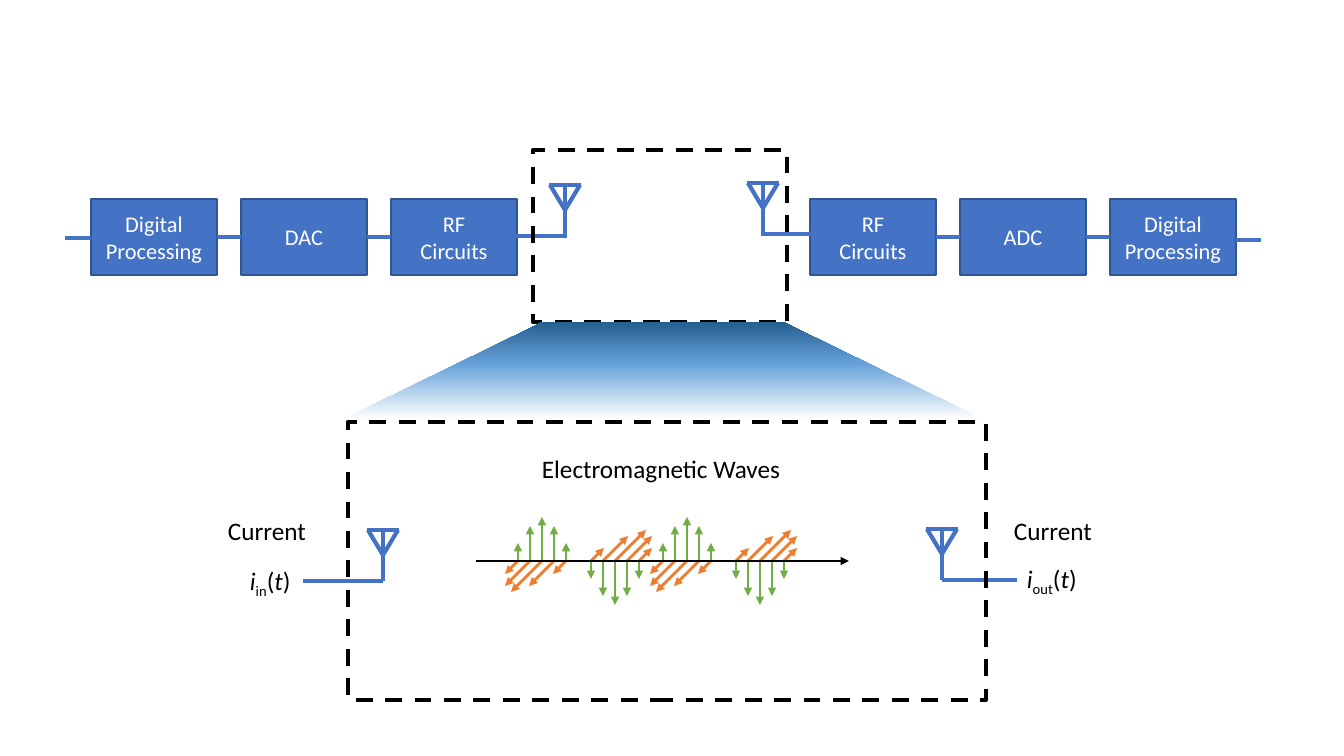
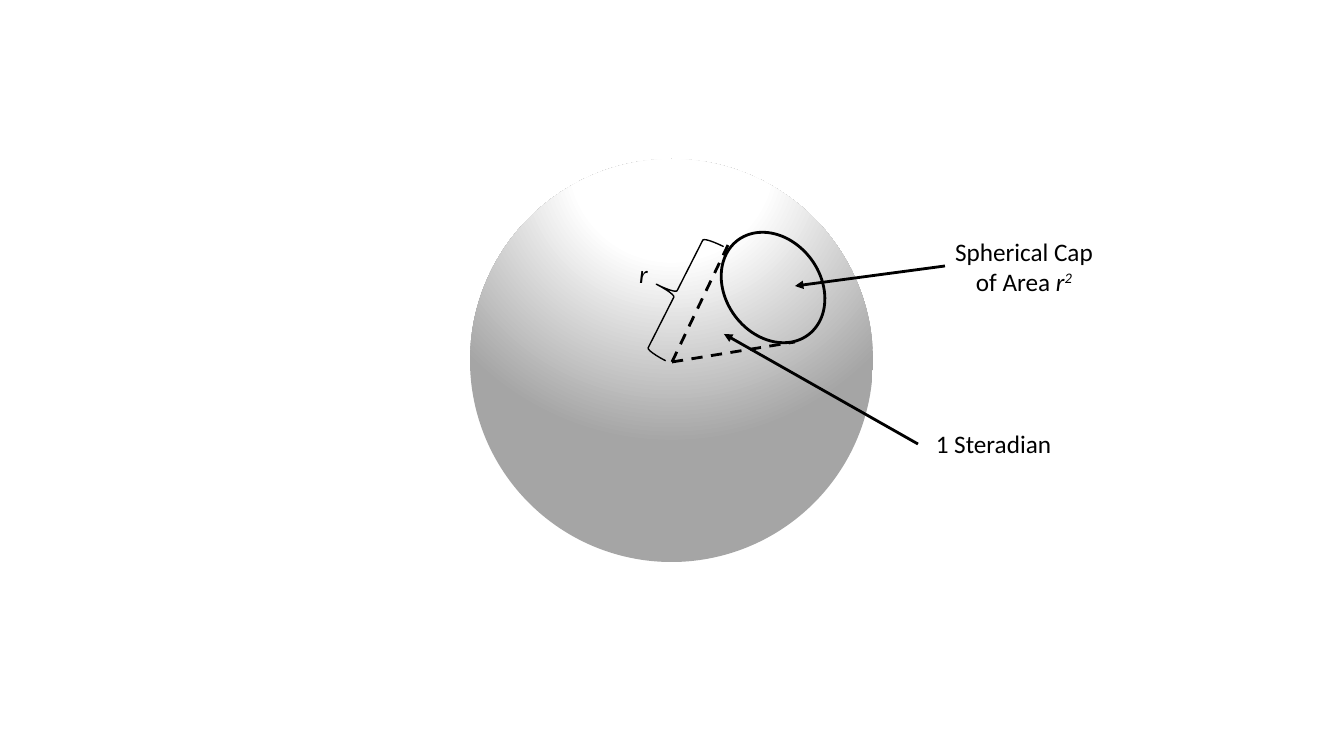
import pptx
import pptx.util
import pptx.dml.color
import pptx.enum.dml
import pptx.enum.shapes
import pptx.enum.text
import pptx.oxml
import pptx.oxml.ns
import pptx.oxml.xmlchemy

PX = 914400 / 100.8
SHAPES = pptx.enum.shapes.MSO_SHAPE
BLUE, EDGE, GREEN, ORANGE = "4472C4", "325491", "70AD47", "ED7D31"
BLACK, WHITE = "000000", "FFFFFF"
FONT = "Calibri"

# Content: text pieces are (text, italic, baseline in 1/1000 percent)
TRANSMITTER = ["Digital Processing", "DAC", "RF\vCircuits"]
RECEIVER = ["RF\vCircuits", "ADC", "Digital Processing"]
BLOCK_ROWS = [(91, TRANSMITTER), (810, RECEIVER)]
BLOCK_TOP, BLOCK_W, BLOCK_H, BLOCK_PITCH = 199, 126, 76, 150
END_WIRES = [(65, 91, 238), (1236, 1261, 240)]
# Mast x, top y, start and end of the lead
ANTENNAS = [(565, 185, 516, 567), (763, 183, 761, 812),
            (383, 530, 303, 383), (942, 529, 942, 1017)]
MAST_H = 51
DASHED_FRAMES = [(533, 150, 254, 172), (348, 422, 638, 278)]


def current(subscript):
    return [("i", True, 0), (subscript, False, -25000), ("(", False, 0),
            ("t", True, 0), (")", False, 0)]


CHANNEL_LABELS = [
    ((218, 510, 99, 40), [("Current", False, 0)]),
    ((240, 560, 64, 40), current("in")),
    ((1004, 510, 99, 40), [("Current", False, 0)]),
    ((1017, 558, 74, 40), current("out")),
    ((532, 448, 261, 40), [("Electromagnetic Waves", False, 0)]),
]
AXIS_Y = 561
HALF_WAVES = [(542, 1), (615, -1), (687, 1), (760, -1)]
FIELD_STEP = 12
ELECTRIC = [18, 35, 44, 35, 18]
MAGNETIC = [13, 25, 31, 25, 13]

SPHERE_CENTRE = (672, 362)
CONE_EDGES = [(729, 243), (795, 342)]
SPHERE_LABELS = [
    ((629, 253, 29, 40), [("r", True, 0)]),
    ((944, 231, 160, 72), [("Spherical Cap\vof Area ", False, 0),
                           ("r", True, 0), ("2", True, 30000)]),
    ((925, 423, 137, 40), [("1 Steradian", False, 0)]),
]
POINTERS = [((945, 266), (795, 286)), ((918, 444), (724, 334))]


# Shared helpers
def px(length):
    return pptx.util.Emu(round(length * PX))


def rgb(colour):
    return pptx.dml.color.RGBColor.from_string(colour)


def style_line(line, colour, width, dashed=False):
    line.color.rgb = rgb(colour)
    line.width = pptx.util.Pt(width)
    if dashed:
        line.dash_style = pptx.enum.dml.MSO_LINE.DASH


def draw_line(slide, start, end, colour, width, arrow=False, dashed=False):
    connector = slide.shapes.add_connector(
        pptx.enum.shapes.MSO_CONNECTOR.STRAIGHT,
        *[px(value) for value in (*start, *end)])
    style_line(connector.line, colour, width, dashed)
    properties = connector._element.spPr
    if arrow:
        tail = pptx.oxml.xmlchemy.OxmlElement("a:tailEnd")
        tail.set("type", "triangle")
        properties.find(pptx.oxml.ns.qn("a:ln")).append(tail)
    properties.append(pptx.oxml.xmlchemy.OxmlElement("a:effectLst"))


def draw_shape(slide, kind, box, fill=None, outline=None):
    shape = slide.shapes.add_shape(kind, *[px(value) for value in box])
    shape.shadow.inherit = False
    if fill:
        shape.fill.solid()
        shape.fill.fore_color.rgb = rgb(fill)
    else:
        shape.fill.background()
    if outline:
        style_line(shape.line, *outline)
    else:
        shape.line.fill.background()
    return shape


def set_gradient(shape, stops, direction):
    marks = "".join(f'<a:gs pos="{at * 1000}"><a:srgbClr val="{colour}"/></a:gs>'
                    for at, colour in stops)
    gradient = pptx.oxml.parse_xml(
        f'<a:gradFill {pptx.oxml.ns.nsdecls("a")} rotWithShape="1">'
        f"<a:gsLst>{marks}</a:gsLst>{direction}</a:gradFill>")
    properties = shape._element.spPr
    properties.replace(properties.find(pptx.oxml.ns.qn("a:noFill")), gradient)


def format_run(run, size, colour, italic=False, baseline=0):
    run.font.name = FONT
    run.font.size = pptx.util.Pt(size)
    run.font.color.rgb = rgb(colour)
    run.font.italic = italic
    if baseline:
        run._r.get_or_add_rPr().set("baseline", str(baseline))


def draw_label(slide, box, pieces, centred=False):
    frame = slide.shapes.add_textbox(*[px(value) for value in box]).text_frame
    frame.word_wrap = False
    frame.auto_size = pptx.enum.text.MSO_AUTO_SIZE.SHAPE_TO_FIT_TEXT
    paragraph = frame.paragraphs[0]
    if centred:
        paragraph.alignment = pptx.enum.text.PP_ALIGN.CENTER
    for index, (text, italic, baseline) in enumerate(pieces):
        if index == 0:
            paragraph.text = text
            runs = paragraph.runs
        else:
            runs = [paragraph.add_run()]
            runs[0].text = text
        for run in runs:
            format_run(run, 18, BLACK, italic, baseline)


def draw_block(slide, left, name):
    block = draw_shape(slide, SHAPES.RECTANGLE, (left, BLOCK_TOP, BLOCK_W, BLOCK_H),
                       BLUE, (EDGE, 1))
    frame = block.text_frame
    frame.text = name
    frame.vertical_anchor = pptx.enum.text.MSO_ANCHOR.MIDDLE
    frame.paragraphs[0].alignment = pptx.enum.text.PP_ALIGN.CENTER
    for run in frame.paragraphs[0].runs:
        format_run(run, 16, WHITE)


def draw_antenna(slide, mast, top, lead_start, lead_end):
    foot = top + MAST_H
    for start, end in [((lead_start, foot), (lead_end, foot)),
                       ((mast, top), (mast, foot)),
                       ((mast - 15, top), (mast, top + 25)),
                       ((mast + 15, top), (mast, top + 25)),
                       ((mast - 16, top), (mast + 16, top))]:
        draw_line(slide, start, end, BLUE, 3)


deck = pptx.Presentation()
deck.slide_width, deck.slide_height = px(1344), px(756)
link, sphere_view = [deck.slides.add_slide(deck.slide_layouts[6]) for _ in range(2)]

# Radio chain: blocks, wires, antennas
for row_left, names in BLOCK_ROWS:
    for column, name in enumerate(names):
        left = row_left + column * BLOCK_PITCH
        draw_block(link, left, name)
        if column:
            draw_line(link, (left - BLOCK_PITCH + BLOCK_W, 237), (left, 237), BLUE, 3)
for start, end, y in END_WIRES:
    draw_line(link, (start, y), (end, y), BLUE, 3)
for antenna in ANTENNAS:
    draw_antenna(link, *antenna)

# Channel frames and labels
for frame_box in DASHED_FRAMES:
    draw_shape(link, SHAPES.RECTANGLE, frame_box, outline=(BLACK, 3, True))
for box, pieces in CHANNEL_LABELS:
    draw_label(link, box, pieces)

# Electromagnetic wave: vertical and slanted field arrows
for colour, lengths, slant in [(GREEN, ELECTRIC, 0), (ORANGE, MAGNETIC, 1)]:
    for centre, sign in HALF_WAVES:
        for index, length in enumerate(lengths):
            x = centre + (index - 2) * FIELD_STEP
            reach = sign * length
            end = (x - reach, AXIS_Y + reach) if slant else (x, AXIS_Y - reach)
            draw_line(link, (x, AXIS_Y), end, colour, 2, arrow=True)
draw_line(link, (476, AXIS_Y), (849, AXIS_Y), BLACK, 1, arrow=True)

# Zoom beam
beam = draw_shape(link, SHAPES.TRAPEZOID, (344, 322, 638, 97))
beam.adjustments[0] = 2.05
set_gradient(beam, [(0, WHITE), (58, "63A0D7"), (100, "255E91")],
             '<a:lin ang="16200000" scaled="0"/>')

# Sphere with its cap, cone and radius
sphere = draw_shape(sphere_view, SHAPES.OVAL, (470, 159, 403, 403))
set_gradient(sphere, [(0, WHITE), (35, WHITE), (100, "A5A5A5")],
             '<a:path path="circle"><a:fillToRect l="50000" t="-80000" '
             'r="50000" b="180000"/></a:path>')
for edge in CONE_EDGES:
    draw_line(sphere_view, SPHERE_CENTRE, edge, BLACK, 2, dashed=True)
cap = draw_shape(sphere_view, SHAPES.OVAL, (714, 240, 118, 95), outline=(BLACK, 2))
cap.rotation = 53.6
radius_brace = draw_shape(sphere_view, SHAPES.LEFT_BRACE, (654, 230, 43, 128),
                          outline=(BLACK, 1))
radius_brace.rotation = 26.9
for start, end in POINTERS:
    draw_line(sphere_view, start, end, BLACK, 2, arrow=True)
for box, pieces in SPHERE_LABELS:
    draw_label(sphere_view, box, pieces, centred=True)

deck.save("out.pptx")
